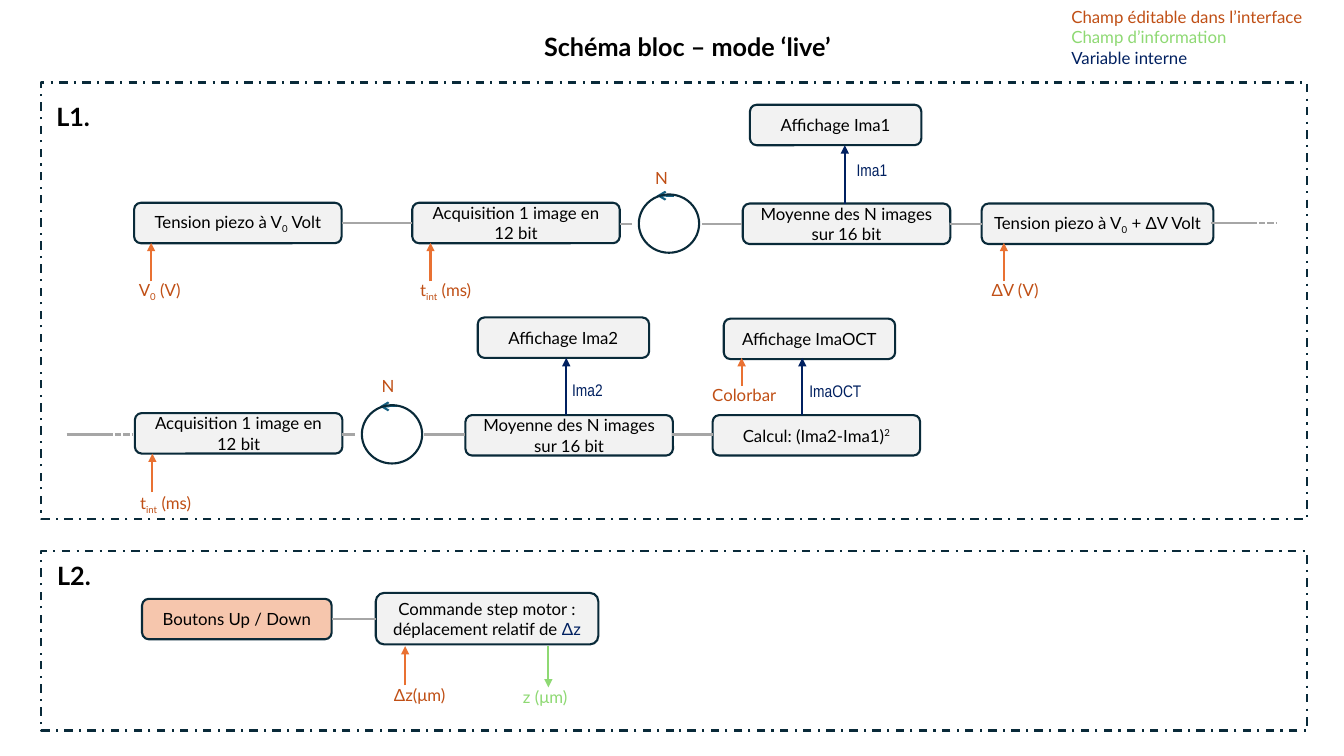
from typing import NamedTuple

from lxml.etree import SubElement
from pptx import Presentation
from pptx.dml.color import RGBColor
from pptx.enum.dml import MSO_LINE
from pptx.enum.shapes import MSO_CONNECTOR, MSO_SHAPE
from pptx.enum.text import MSO_ANCHOR, PP_ALIGN
from pptx.oxml.ns import qn
from pptx.util import Cm, Pt

BLACK, GREY, PALE, PEACH = "000000", "A6A6A6", "F2F2F2", "F6C6AD"
OUTLINE, TEAL, ORANGE = "092A39", "156082", "E97132"
EDITABLE, INFO, INTERNAL = "C04F15", "8ED973", "002060"
LEFT, CENTER = PP_ALIGN.LEFT, PP_ALIGN.CENTER


class Run(NamedTuple):
    text: str
    baseline: int = 0  # percent of the font size
    color: str = ""


class Block(NamedTuple):
    x: float
    y: float
    runs: list[Run]
    w: float = 5.23
    h: float = 1.02
    fill: str = PALE


class Label(NamedTuple):
    x: float
    y: float
    w: float
    runs: list[Run]
    color: str = EDITABLE
    font: str = "Lato"
    size: int = 12
    bold: bool = False
    align: PP_ALIGN = LEFT


class Link(NamedTuple):
    x1: float
    x2: float
    y: float
    dash: MSO_LINE | None = None


class Arrow(NamedTuple):
    x: float
    y1: float
    y2: float
    color: str = ORANGE


V0 = [Run("V"), Run("0", -25), Run(" (V)")]
T_INT = [Run("t"), Run("int", -25), Run(" (ms)")]
ACQUISITION = [Run("Acquisition 1 image en 12 bit")]
AVERAGE = [Run("Moyenne des N images sur 16 bit")]

FRAMES = [(2.08, 11), (13.89, 4.52)]  # top, height
LOOPS = [(16.1, 4.9), (9.12, 10.21)]  # left, top

BLOCKS = [
    # L1, first row
    Block(3.38, 5.11, [Run("Tension piezo à V"), Run("0", -25), Run(" Volt")]),
    Block(10.39, 5.11, ACQUISITION),
    Block(18.72, 5.13, AVERAGE),
    Block(24.74, 5.13, [Run("Tension piezo à V"), Run("0", -25), Run(" + ΔV Volt")], w=5.84),
    # L1, second row
    Block(3.4, 10.41, ACQUISITION),
    Block(11.73, 10.46, AVERAGE),
    Block(17.96, 10.46, [Run("Calcul: (Ima2-Ima1)"), Run("2", 30)]),
    # Displays
    Block(18.9, 2.64, [Run("Affichage Ima1")], w=4.32),
    Block(12.04, 8, [Run("Affichage Ima2")], w=4.32),
    Block(18.24, 8.03, [Run("Affichage ImaOCT")], w=4.32),
    # L2
    Block(9.47, 14.94, [Run("Commande step motor : déplacement relatif de "),
                        Run("Δz", color=INTERNAL)], w=5.61, h=1.3),
    Block(3.58, 15.09, [Run("Boutons Up / Down")], w=4.78, fill=PEACH),
]

LINKS = [
    Link(8.61, 10.39, 5.61), Link(15.62, 15.93, 5.64), Link(17.7, 18.69, 5.64),
    Link(23.95, 24.74, 5.64), Link(30.51, 31.6, 5.61),
    Link(31.09, 32.18, 5.61, MSO_LINE.SQUARE_DOT),
    Link(1.68, 2.74, 10.95), Link(2.26, 3.35, 10.95, MSO_LINE.SQUARE_DOT),
    Link(8.61, 8.94, 10.95), Link(10.69, 11.71, 10.95), Link(16.94, 17.96, 10.95),
    Link(8.36, 9.47, 15.6),
]

ARROWS = [
    Arrow(3.81, 7.09, 6.12), Arrow(10.85, 7.09, 6.12), Arrow(25.3, 7.09, 6.12),
    Arrow(3.84, 12.4, 11.43), Arrow(18.69, 9.73, 9.02), Arrow(10.21, 17.27, 16.28),
    Arrow(21.29, 5.13, 3.66, INTERNAL), Arrow(14.27, 10.46, 9.02, INTERNAL),
    Arrow(20.22, 10.46, 9.02, INTERNAL), Arrow(13.82, 16.28, 17.32, INFO),
]

LABELS = [
    Label(12.45, 0.66, 9.75, [Run("Schéma bloc – mode ‘live’")], BLACK, size=18,
          bold=True, align=CENTER),
    Label(1.17, 2.44, 2.24, [Run("L1.")], BLACK, size=18, bold=True),
    Label(1.19, 14, 2.24, [Run("L2.")], BLACK, size=18, bold=True),
    Label(3.25, 6.93, 1.8, V0),
    Label(10.34, 6.93, 2.08, T_INT),
    Label(24.74, 6.93, 2.49, [Run("ΔV (V)")]),
    Label(3.28, 12.29, 2.08, T_INT),
    Label(16.26, 4.11, 1.45, [Run("N")]),
    Label(9.37, 9.35, 1.45, [Run("N")]),
    Label(17.7, 9.58, 2.49, [Run("Colorbar")]),
    Label(21.34, 3.91, 1.75, [Run("Ima1")], INTERNAL, "Arial Narrow"),
    Label(14.17, 9.45, 1.75, [Run("Ima2")], INTERNAL, "Arial Narrow"),
    Label(19.81, 9.47, 2.49, [Run("ImaOCT")], INTERNAL, "Arial Narrow", align=CENTER),
    Label(9.68, 17.12, 1.96, [Run("Δz(μm)")]),
    Label(12.93, 17.17, 1.96, [Run("z (μm)")], INFO),
]

LEGEND = [("Champ éditable dans l’interface", EDITABLE),
          ("Champ d’information", INFO), ("Variable interne", INTERNAL)]

prs = Presentation()
prs.slide_width, prs.slide_height = Cm(33.87), Cm(19.05)
s = prs.slides.add_slide(prs.slide_layouts[6])


def rgb(color: str) -> RGBColor:
    return RGBColor.from_string(color)


def write(p, runs: list[Run], color: str = BLACK, font: str = "Lato", size: int = 12,
          bold: bool = False, align: PP_ALIGN = LEFT) -> None:
    p.alignment = align
    p.font.name, p.font.size, p.font.bold = font, Pt(size), bold
    p.font.color.rgb = rgb(color)
    for run in runs:
        r = p.add_run()
        r.text = run.text
        if run.baseline:
            r.font._element.set("baseline", str(run.baseline * 1000))
        if run.color:
            r.font.color.rgb = rgb(run.color)


def add_outline(kind: MSO_SHAPE, x: float, y: float, w: float, h: float, fill: str = ""):
    sp = s.shapes.add_shape(kind, Cm(x), Cm(y), Cm(w), Cm(h))
    sp.shadow.inherit = False
    if fill:
        sp.fill.solid()
        sp.fill.fore_color.rgb = rgb(fill)
    else:
        sp.fill.background()
    sp.line.color.rgb, sp.line.width = rgb(OUTLINE), Pt(1.5)
    return sp


def add_line(x1: float, y1: float, x2: float, y2: float, color: str,
             dash: MSO_LINE | None = None, end: str = "", head: str = "") -> None:
    c = s.shapes.add_connector(MSO_CONNECTOR.STRAIGHT, Cm(x1), Cm(y1), Cm(x2), Cm(y2))
    c.line.color.rgb, c.line.width = rgb(color), Pt(1.5)
    if dash:
        c.line.dash_style = dash
    props = c._element.spPr
    if end:
        SubElement(props.find(qn("a:ln")), qn(f"a:{end}"), type=head)
    SubElement(props, qn("a:effectLst"))


def add_textbox(x: float, y: float, w: float, h: float):
    tf = s.shapes.add_textbox(Cm(x), Cm(y), Cm(w), Cm(h)).text_frame
    tf.word_wrap = True
    return tf


# Process blocks
for block in BLOCKS:
    sp = add_outline(MSO_SHAPE.ROUNDED_RECTANGLE, block.x, block.y, block.w, block.h, block.fill)
    sp.text_frame.vertical_anchor = MSO_ANCHOR.MIDDLE
    write(sp.text_frame.paragraphs[0], block.runs, align=CENTER)

# Repeat loops
for x, y in LOOPS:
    add_line(x + 0.45, y + 0.03, x + 0.88, y + 0.03, TEAL, end="headEnd", head="arrow")
    add_outline(MSO_SHAPE.OVAL, x, y, 1.52, 1.47)

# Links and arrows
for link in LINKS:
    add_line(link.x1, link.y, link.x2, link.y, GREY, link.dash)
for arrow in ARROWS:
    add_line(arrow.x, arrow.y1, arrow.x, arrow.y2, arrow.color, end="tailEnd", head="triangle")

# Labels
for label in LABELS:
    tf = add_textbox(label.x, label.y, label.w, 1.02 if label.size > 12 else 0.76)
    write(tf.paragraphs[0], *label[3:])

# Colour legend
tf = add_textbox(26.75, 0.05, 6.76, 1.8)
for i, (text, color) in enumerate(LEGEND):
    write(tf.add_paragraph() if i else tf.paragraphs[0], [Run(text)], color)

# Section frames
for top, height in FRAMES:
    add_outline(MSO_SHAPE.RECTANGLE, 1.04, top, 31.9, height).line.dash_style = MSO_LINE.DASH_DOT

prs.save("out.pptx")
